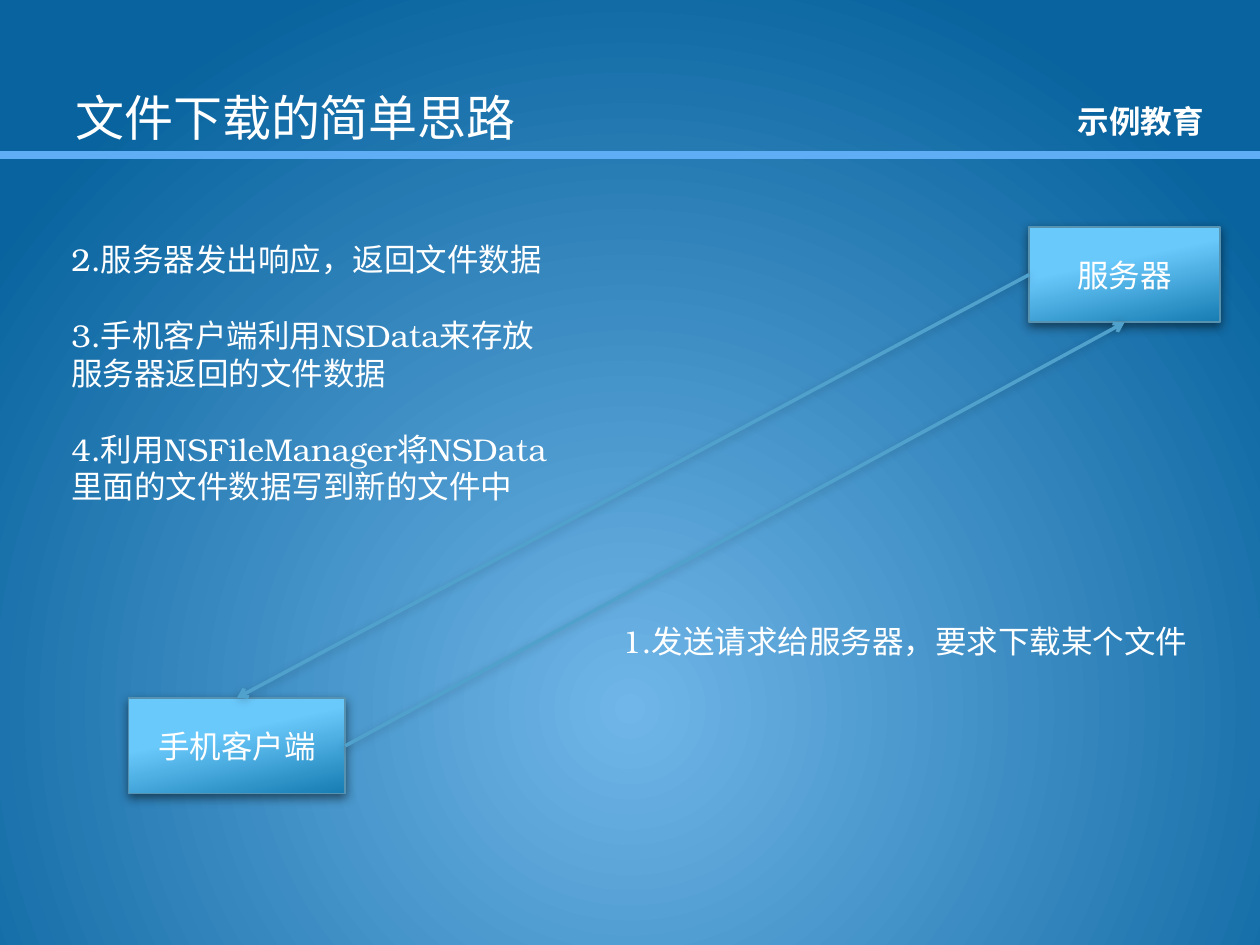
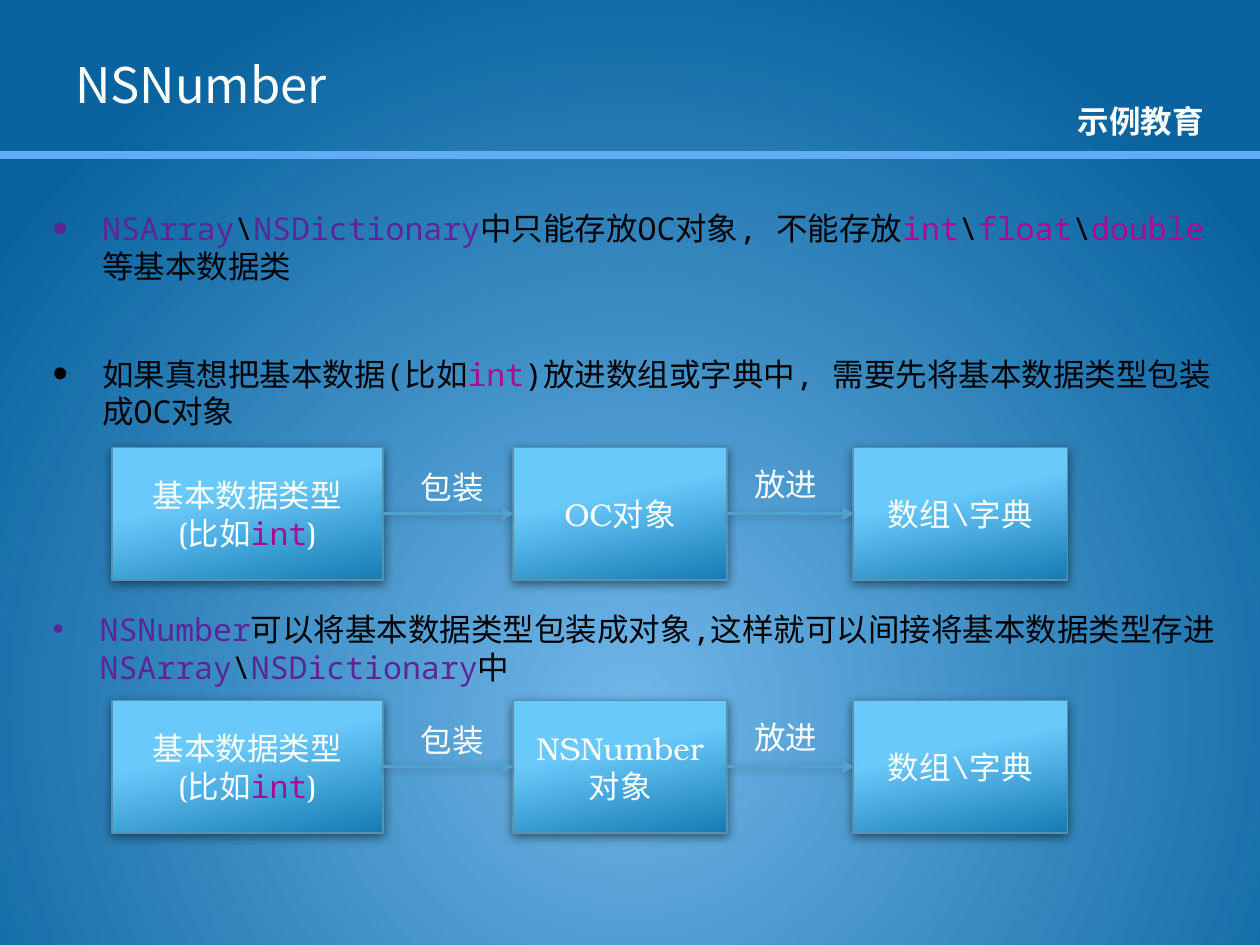
from pptx import Presentation
from pptx.dml.color import RGBColor
from pptx.enum.shapes import MSO_CONNECTOR, MSO_SHAPE
from pptx.enum.text import MSO_ANCHOR, PP_ALIGN
from pptx.oxml import parse_xml
from pptx.oxml.ns import nsdecls, qn
from pptx.util import Cm, Pt

# Shared look
SANS, MONO, SERIF = "Noto Sans CJK SC", "Noto Sans Mono", "TeX Gyre Bonum"
WHITE, BLACK, CLASS, TYPE = "FFFFFF", "000000", "5C2699", "AA0D91"
BACK = [(0, "70B6E8"), (1, "08639E")]
BOX_FILL, BOX_EDGE = [(0.38, "6AC9FB"), (1, "167CB2")], "5792B1"
ARROW, RULE = "50A1CC", "5FADF5"
BRAND = "示例教育"
TOP, LEFT, BOTTOM, RIGHT = range(4)  # connection sites of a rectangle

# Content: a paragraph is a list of (text, font, colour) runs


def serif(text):
    return [(text, SERIF, WHITE)]


def code(*parts):
    return [(text, MONO, color) for text, color in parts]


REPLY_STEPS = [  # text, space before in points
    ("2.服务器发出响应，返回文件数据", 0),
    ("3.手机客户端利用NSData来存放", 21.7),
    ("服务器返回的文件数据", 0),
    ("4.利用NSFileManager将NSData", 21.7),
    ("里面的文件数据写到新的文件中", 0),
]
REQUEST_STEP = "1.发送请求给服务器，要求下载某个文件"

COLLECTIONS = [("NSArray", CLASS), ("\\", BLACK), ("NSDictionary", CLASS)]
LIMITS = [
    code(*COLLECTIONS, ("中只能存放OC对象, 不能存放", BLACK), ("int", TYPE),
         ("\\", BLACK), ("float", TYPE), ("\\", BLACK), ("double", TYPE),
         ("等基本数据类", BLACK)),
    code(("如果真想把基本数据(比如", BLACK), ("int", TYPE),
         (")放进数组或字典中, 需要先将基本数据类型包装成OC对象", BLACK)),
]
SOLUTION = code(("NSNumber", CLASS),
                ("可以将基本数据类型包装成对象,这样就可以间接将基本数据类型存进", BLACK),
                *COLLECTIONS, ("中", BLACK))

PRIMITIVE = [serif("基本数据类型"),
             serif("(比如") + code(("int", TYPE)) + serif(")")]
STORE = [serif("数组\\字典")]
FLOWS = [  # top in cm, three boxes
    (9.02, (PRIMITIVE, [serif("OC对象")], STORE)),
    (14.12, (PRIMITIVE, [serif("NSNumber"), serif("对象")], STORE)),
]
FLOW_COLUMNS = [(2.26, 5.46), (10.34, 4.32), (17.2, 4.32)]  # left, width
FLOW_LABELS = [("包装", 8.23, 0.3), ("放进", 14.96, 0.22)]  # text, left, drop


# Helpers
def rgb(color):
    return RGBColor.from_string(color)


def set_gradient(fill, stops, angle=0):
    fill.gradient()
    fill.gradient_angle = angle
    for stop, (position, color) in zip(fill.gradient_stops, stops):
        stop.position = position
        stop.color.rgb = rgb(color)


def set_shadow(sp, alpha, blur, dist):
    sp._element.spPr.append(parse_xml(
        f'<a:effectLst {nsdecls("a")}><a:outerShdw blurRad="{Pt(blur)}" '
        f'dist="{Pt(dist)}" dir="5400000" rotWithShape="0"><a:srgbClr val="000000">'
        f'<a:alpha val="{alpha * 1000}"/></a:srgbClr></a:outerShdw></a:effectLst>'))


def write(tf, paragraphs, size=18, bold=False, align=None):
    tf.word_wrap = True
    for i, runs in enumerate(paragraphs):
        p = tf.add_paragraph() if i else tf.paragraphs[0]
        p.alignment = align
        for text, font, color in runs:
            r = p.add_run()
            r.text = text
            r.font.size, r.font.bold, r.font.name = Pt(size), bold, font
            r.font.color.rgb = rgb(color)
            r.font._element.find(qn("a:latin")).addnext(
                parse_xml(f'<a:ea {nsdecls("a")} typeface="{SANS}"/>'))


def add_text(s, x, y, w, h, paragraphs, **style):
    tf = s.shapes.add_textbox(Cm(x), Cm(y), Cm(w), Cm(h)).text_frame
    write(tf, paragraphs, **style)
    return tf


def add_box(s, x, y, w, h, paragraphs):
    sp = s.shapes.add_shape(MSO_SHAPE.RECTANGLE, Cm(x), Cm(y), Cm(w), Cm(h))
    set_gradient(sp.fill, BOX_FILL, 282)
    sp.line.color.rgb, sp.line.width = rgb(BOX_EDGE), Pt(1)
    set_shadow(sp, 50, 6, 2)
    sp.text_frame.vertical_anchor = MSO_ANCHOR.MIDDLE
    write(sp.text_frame, paragraphs, align=PP_ALIGN.CENTER)
    return sp


def add_line(s, color, width, ends=(0, 0, 0, 0)):
    line = s.shapes.add_connector(MSO_CONNECTOR.STRAIGHT, *map(Cm, ends))
    line.line.color.rgb, line.line.width = rgb(color), Pt(width)
    return line


def add_arrow(s, start, start_site, end, end_site):
    arrow = add_line(s, ARROW, 2)
    arrow.begin_connect(start, start_site)
    arrow.end_connect(end, end_site)
    arrow.line._get_or_add_ln().append(
        parse_xml(f'<a:tailEnd {nsdecls("a")} type="arrow"/>'))
    set_shadow(arrow, 20, 5, 1)


def add_bullets(tf, indent, size=100, after=0, gap=0):
    for i, p in enumerate(tf.paragraphs):
        p.space_after, p.space_before = Pt(after), Pt(gap if i else 0)
        pPr = p._p.get_or_add_pPr()
        pPr.set("marL", str(Cm(indent)))
        pPr.set("indent", str(-Cm(indent)))
        for tag in (f'buSzPct {nsdecls("a")} val="{size * 1000}"',
                    f'buFont {nsdecls("a")} typeface="Arial"',
                    f'buChar {nsdecls("a")} char="•"'):
            pPr.append(parse_xml(f"<a:{tag}/>"))


def set_background(master):
    set_gradient(master.background.fill, BACK)
    lin = next(master._element.iter(qn("a:lin")))
    lin.getparent().replace(lin, parse_xml(
        f'<a:path {nsdecls("a")} path="circle">'
        '<a:fillToRect l="50000" t="50000" r="50000" b="0"/></a:path>'))


def add_slide(prs, title, y, w, h):
    s = prs.slides.add_slide(prs.slide_layouts[6])
    rule = add_line(s, RULE, 4.5, (0, 3.12, 25.4, 3.12))
    rule._element.spPr.append(parse_xml(f'<a:effectLst {nsdecls("a")}/>'))
    add_text(s, 20.9, 1.93, 4.19, 1.02, [[(BRAND, SANS, WHITE)]],
             bold=True, align=PP_ALIGN.CENTER)
    tf = add_text(s, 1.27, y, w, h, [[(title, SANS, WHITE)]], size=28)
    tf.vertical_anchor = MSO_ANCHOR.MIDDLE
    return s


def download_slide(prs):
    s = add_slide(prs, "文件下载的简单思路", 0.76, 22.86, 3.18)
    server = add_box(s, 20.75, 4.57, 3.84, 1.93, [serif("服务器")])
    client = add_box(s, 2.59, 14.07, 4.37, 1.93, [serif("手机客户端")])
    add_arrow(s, client, RIGHT, server, BOTTOM)
    add_arrow(s, server, LEFT, client, TOP)
    tf = add_text(s, 1.19, 4.72, 10.16, 5.64, [serif(t) for t, _ in REPLY_STEPS])
    for p, (_, gap) in zip(tf.paragraphs, REPLY_STEPS):
        p.space_before = Pt(gap)
    add_text(s, 12.29, 12.42, 11.94, 1.02, [serif(REQUEST_STEP)])


def number_slide(prs):
    s = add_slide(prs, "NSNumber", 0.76, 19.23, 1.85)
    tf = add_text(s, 0.81, 4.09, 24, 4.52, LIMITS)
    add_bullets(tf, 1, size=140, after=6, gap=34)
    tf = add_text(s, 0.81, 12.17, 24, 1.96, [SOLUTION])
    add_bullets(tf, 0.95)
    for top, texts in FLOWS:
        boxes = [add_box(s, x, top, w, 2.67, text)
                 for (x, w), text in zip(FLOW_COLUMNS, texts)]
        for start, end in zip(boxes, boxes[1:]):
            add_arrow(s, start, RIGHT, end, LEFT)
        for text, x, drop in FLOW_LABELS:
            add_text(s, x, top + drop, 1.81, 1.02, [serif(text)])


def main():
    prs = Presentation()
    prs.slide_width, prs.slide_height = Cm(25.4), Cm(19.05)
    set_background(prs.slide_master)
    download_slide(prs)
    number_slide(prs)
    prs.save("out.pptx")


if __name__ == "__main__":
    main()
